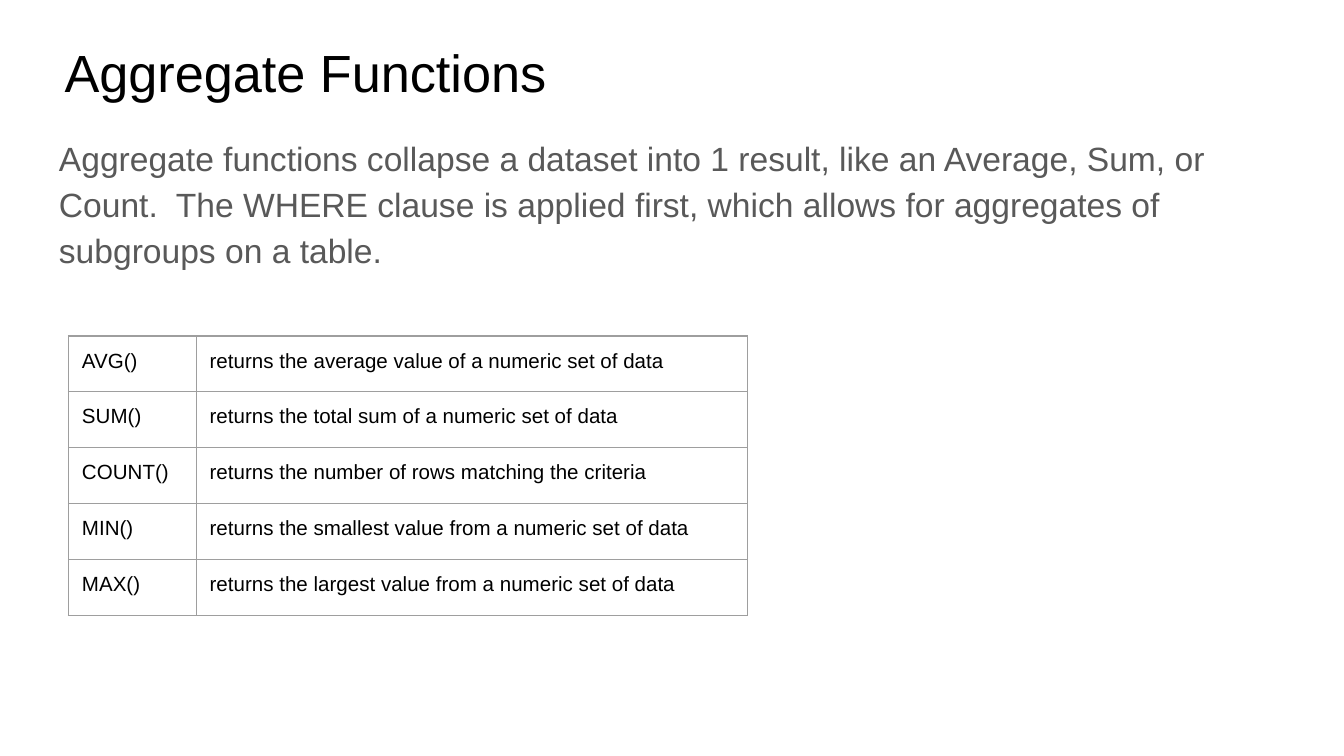
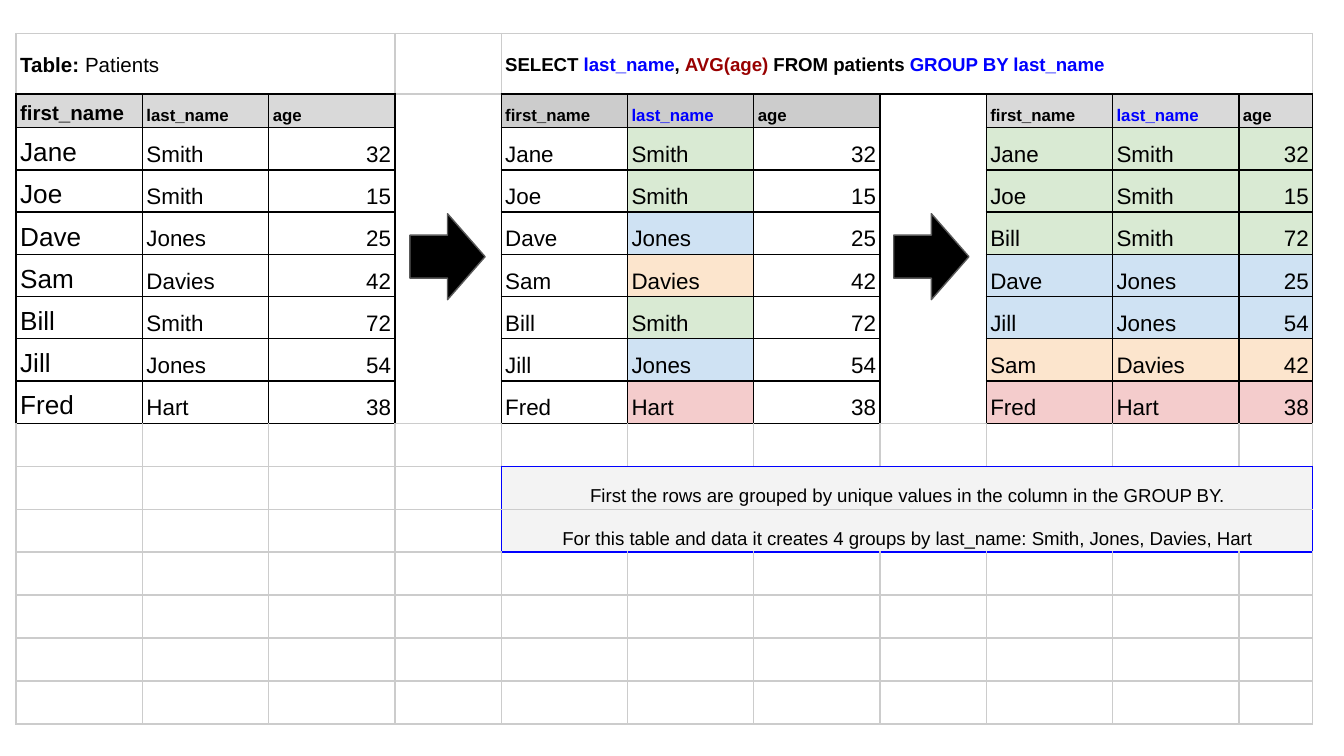
from lxml import etree
from pptx import Presentation, util as u
from pptx.dml.color import RGBColor
from pptx.enum import shapes, text
from pptx.oxml.ns import qn

FONT = "Arial"
BLACK = RGBColor(0x00, 0x00, 0x00)
BODY_GREY = RGBColor(0x59, 0x59, 0x59)
TABLE_GREY = RGBColor(0x9E, 0x9E, 0x9E)
GRID_GREY = RGBColor(0xCC, 0xCC, 0xCC)
HEAD_GREY = RGBColor(0xD9, 0xD9, 0xD9)
NOTE_GREY = RGBColor(0xF3, 0xF3, 0xF3)
BLUE = RGBColor(0x00, 0x00, 0xFF)
RED = RGBColor(0x98, 0x00, 0x00)
GREEN_TINT = RGBColor(0xD9, 0xEA, 0xD3)
BLUE_TINT = RGBColor(0xCF, 0xE2, 0xF3)
ORANGE_TINT = RGBColor(0xFC, 0xE5, 0xCD)
RED_TINT = RGBColor(0xF4, 0xCC, 0xCC)

LEFT, RIGHT, CENTER = text.PP_ALIGN.LEFT, text.PP_ALIGN.RIGHT, text.PP_ALIGN.CENTER
TOP, MIDDLE, BOTTOM = (text.MSO_ANCHOR.TOP, text.MSO_ANCHOR.MIDDLE,
                       text.MSO_ANCHOR.BOTTOM)


def write(tf, runs, size=11, color=BLACK, bold=False, align=LEFT, spacing=1.0, after=0):
    """Fill a text frame; runs is a string or a list of (text, color, bold)."""
    if isinstance(runs, str):
        runs = [(runs, color, bold)]
    p = tf.paragraphs[0]
    p.alignment, p.line_spacing = align, spacing
    p.space_before, p.space_after = u.Pt(0), u.Pt(after)
    for content, run_color, run_bold in runs:
        r = p.add_run()
        r.text = content
        r.font.name, r.font.size = FONT, u.Pt(size)
        r.font.bold, r.font.color.rgb = run_bold, run_color


class Deck:
    def __init__(self):
        self.prs = Presentation()
        self.prs.slide_width, self.prs.slide_height = u.Inches(10), u.Inches(5.625)
        self.s = None

    def slide(self, title=None):
        self.s = self.prs.slides.add_slide(self.prs.slide_layouts[5 if title else 6])
        if title:
            sp = self.s.shapes.title
            self.place(sp, 0.38, 0.2, 9.32, 0.63)
            self.frame(sp.text_frame)
            write(sp.text_frame, title, size=28)

    def place(self, sp, *box):
        sp.left, sp.top, sp.width, sp.height = map(u.Inches, box)

    def frame(self, tf):
        tf.word_wrap, tf.auto_size = True, text.MSO_AUTO_SIZE.NONE
        tf.vertical_anchor = TOP
        tf.margin_left = tf.margin_right = u.Inches(0.1)
        tf.margin_top = tf.margin_bottom = u.Inches(0.1)

    def body(self, content, *box):
        tf = self.s.shapes.add_textbox(*map(u.Inches, box)).text_frame
        self.frame(tf)
        write(tf, content, size=18, color=BODY_GREY, spacing=1.15, after=16)

    def arrow(self, *box):
        sp = self.s.shapes.add_shape(shapes.MSO_SHAPE.RIGHT_ARROW, *map(u.Inches, box))
        sp.shadow.inherit = False
        sp.fill.solid()
        sp.fill.fore_color.rgb = BLACK
        sp.line.color.rgb, sp.line.width = BODY_GREY, u.Pt(0.75)

    def table(self, left, top, cols, rows, pad_x, pad_y):
        frame = self.s.shapes.add_table(len(rows), len(cols), *map(
            u.Inches, (left, top, sum(cols), sum(rows))))
        table = frame.table
        table.first_row = table.horz_banding = False
        for column, width in zip(table.columns, cols):
            column.width = u.Inches(width)
        for row, height in zip(table.rows, rows):
            row.height = u.Inches(height)
        for cell in table.iter_cells():
            cell.margin_left = cell.margin_right = u.Inches(pad_x)
            cell.margin_top = cell.margin_bottom = u.Inches(pad_y)
            cell.fill.background()
            # keeps empty cells from stretching their row
            p = cell.text_frame.paragraphs[0]
            etree.SubElement(p._p, qn("a:endParaRPr"), sz="1000")
        return table

    def cell(self, cell, runs, fill=None, anchor=BOTTOM, **style):
        cell.vertical_anchor = anchor
        if fill is not None:
            cell.fill.solid()
            cell.fill.fore_color.rgb = fill
        write(cell.text_frame, runs, **style)

    def borders(self, cell, colors, width):
        """Draw the left, right, top and bottom lines of a cell."""
        tc_pr = cell._tc.get_or_add_tcPr()
        for i, (side, color) in enumerate(zip("LRTB", colors)):
            ln = etree.Element(qn("a:ln" + side), w=str(u.Pt(width)))
            fill = etree.SubElement(ln, qn("a:solidFill"))
            etree.SubElement(fill, qn("a:srgbClr"), val=str(color))
            tc_pr.insert(i, ln)


deck = Deck()

# Slide 1: aggregate functions
deck.slide("Aggregate Functions")
deck.body("Aggregate functions collapse a dataset into 1 result, like an Average, Sum, "
          "or Count.  The WHERE clause is applied first, which allows for aggregates "
          "of subgroups on a table.", 0.34, 0.88, 9.32, 1.27)
FUNCTIONS = [
    ("AVG()", "returns the average value of a numeric set of data"),
    ("SUM()", "returns the total sum of a numeric set of data"),
    ("COUNT()", "returns the number of rows matching the criteria"),
    ("MIN()", "returns the smallest value from a numeric set of data"),
    ("MAX()", "returns the largest value from a numeric set of data"),
]
table = deck.table(0.51, 2.5, [0.95, 4.1], [0.416] * len(FUNCTIONS), 0.1, 0.1)
for r, row in enumerate(FUNCTIONS):
    for c, content in enumerate(row):
        deck.cell(table.cell(r, c), content, anchor=TOP)
        deck.borders(table.cell(r, c), [TABLE_GREY] * 4, 0.75)

# Slide 2: grouping the patients
deck.slide()
FIELDS = ("first_name", "last_name", "age")
PATIENTS = [("Jane", "Smith", 32), ("Joe", "Smith", 15), ("Dave", "Jones", 25),
            ("Sam", "Davies", 42), ("Bill", "Smith", 72), ("Jill", "Jones", 54),
            ("Fred", "Hart", 38)]
GROUPS = {"Smith": GREEN_TINT, "Jones": BLUE_TINT, "Davies": ORANGE_TINT,
          "Hart": RED_TINT}
grouped = sorted(PATIENTS, key=lambda patient: list(GROUPS).index(patient[1]))

name, gap = 0.94, 0.79
cols = [name] * 3 + [gap] + [name] * 3 + [gap] + [name] * 2 + [0.55]
rows = [0.45, 0.25] + [2.2 / 7] * 7 + [0.32] * 7
grid = deck.table(0.12, 0.25, cols, rows, 0.03, 0.02)

# Merged areas: captions, arrow gaps, notes
for r0, c0, r1, c1 in [(0, 0, 0, 2), (0, 4, 0, 10), (1, 3, 8, 3), (1, 7, 8, 7),
                       (10, 4, 10, 10), (11, 4, 11, 10)]:
    grid.cell(r0, c0).merge(grid.cell(r1, c1))

# Captions
deck.cell(grid.cell(0, 0), [("Table: ", BLACK, True), ("Patients", BLACK, False)],
          anchor=MIDDLE, spacing=1.15)
QUERY = [("SELECT", BLACK), (" last_name", BLUE), (", ", BLACK), ("AVG(age)", RED),
         (" FROM patients ", BLACK), ("GROUP BY last_name", BLUE)]
deck.cell(grid.cell(0, 4), [(part, color, True) for part, color in QUERY],
          anchor=MIDDLE, size=10, spacing=1.15)

# Three blocks: source rows, coloured key, sorted groups
BLOCKS = [(0, PATIENTS, HEAD_GREY, ()),
          (4, PATIENTS, GRID_GREY, (1,)),
          (8, grouped, HEAD_GREY, (0, 1, 2))]
for start, patients, head_fill, tinted in BLOCKS:
    for c, field in enumerate(FIELDS):
        first = start + c == 0
        deck.cell(grid.cell(1, start + c), field, fill=head_fill, bold=True,
                  size=11 if first else 9, spacing=1.15,
                  color=BLUE if start and field == "last_name" else BLACK)
        for r, patient in enumerate(patients, 2):
            deck.cell(grid.cell(r, start + c), str(patient[c]),
                      fill=GROUPS[patient[1]] if c in tinted else None,
                      size=14 if first else 12, spacing=1.15,
                      align=RIGHT if field == "age" else LEFT)

# Notes
NOTES = ["First the rows are grouped by unique values in the column in the GROUP BY.",
         "For this table and data it creates 4 groups by last_name: "
         "Smith, Jones, Davies, Hart"]
for r, note in enumerate(NOTES, 10):
    deck.cell(grid.cell(r, 4), note, fill=NOTE_GREY, size=10, align=CENTER, spacing=1.15)


# Grid lines: black around data, blue around the notes, grey elsewhere
def area(r, c):
    if 1 <= r <= 8 and c in (0, 1, 2, 4, 5, 6, 8, 9, 10):
        return "data"
    return "note" if r in (10, 11) and 4 <= c <= 10 else "blank"


def edge(a, b):
    areas = {area(*a), area(*b)}
    if "data" in areas or {a, b} == {(0, 7), (1, 7)}:
        return BLACK
    return BLUE if areas == {"note", "blank"} else GRID_GREY


for r in range(len(rows)):
    for c in range(len(cols)):
        cell = grid.cell(r, c)
        last_r, last_c = r + cell.span_height - 1, c + cell.span_width - 1
        deck.borders(cell, [edge((r, c), (r, c - 1)),
                            edge((r, last_c), (r, last_c + 1)),
                            edge((r, c), (r - 1, c)),
                            edge((last_r, c), (last_r + 1, c))], 0.83)

# Arrows between the blocks
for left in (3.05, 6.65):
    deck.arrow(left, 1.59, 0.56, 0.64)

deck.prs.save("out.pptx")
